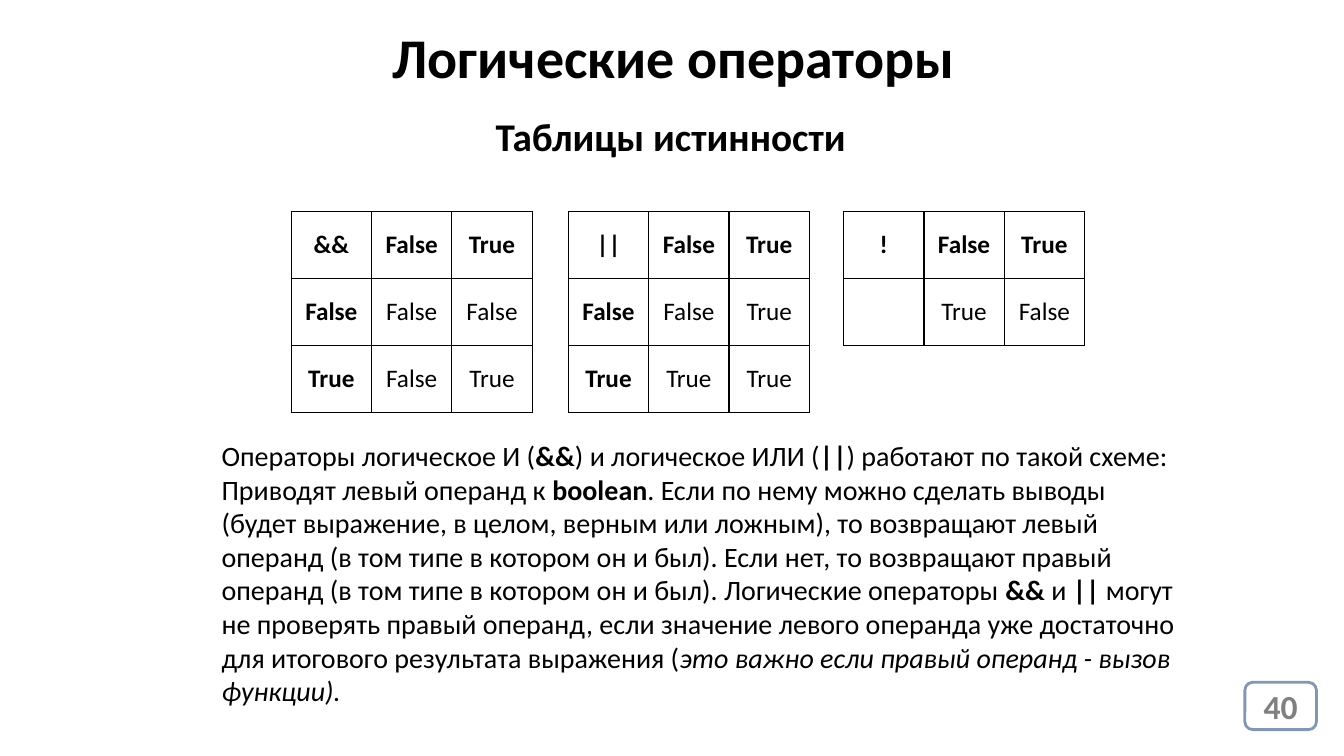
from lxml.etree import SubElement
from pptx import Presentation
from pptx.dml.color import RGBColor
from pptx.enum.shapes import MSO_SHAPE
from pptx.enum.text import MSO_ANCHOR, PP_ALIGN
from pptx.oxml.ns import qn
from pptx.util import Pt

BLACK = RGBColor(0, 0, 0)
WHITE = RGBColor(255, 255, 255)
GREY = RGBColor(128, 128, 128)
STEEL = RGBColor(0x84, 0x97, 0xB0)

COL, ROW = 57.4, 47.8
TABLES = [
    (208, [["&&", "False", "True"], ["False", "False", "False"], ["True", "False", "True"]]),
    (406, [["||", "False", "True"], ["False", "False", "True"], ["True", "True", "True"]]),
    (602.6, [["!", "False", "True"], ["", "True", "False"]]),
]
BODY = [
    ("Операторы логическое И (", ""),
    ("&&", "b"),
    (") и логическое ИЛИ (", ""),
    ("||", "b"),
    (") работают по такой схеме: Приводят левый операнд к ", ""),
    ("boolean", "b"),
    (". Если по нему можно сделать выводы (будет выражение, в целом, верным или ложным), "
     "то возвращают левый операнд (в том типе в котором он и был). Если нет, то возвращают "
     "правый операнд (в том типе в котором он и был). Логические операторы ", ""),
    ("&& ", "b"),
    ("и ", ""),
    ("|| ", "b"),
    ("могут не проверять правый операнд, если значение левого операнда уже достаточно "
     "для итогового результата выражения (", ""),
    ("это важно если правый операнд - вызов функции).", "i"),
]


def write(para, text, size=20, bold=False, italic=False, color=BLACK, align=None):
    """Add one formatted run to a paragraph."""
    if align is not None:
        para.alignment = align
    para.font.size = Pt(size)
    run = para.add_run()
    run.text = text
    font = run.font
    font.name, font.size = "Calibri", Pt(size)
    font.bold, font.italic = bold, italic
    font.color.rgb = color


def add_box(slide, box, wrap=True, anchor=MSO_ANCHOR.TOP):
    """Add a text box and return its first paragraph."""
    frame = slide.shapes.add_textbox(*map(Pt, box)).text_frame
    frame.word_wrap = wrap
    frame.vertical_anchor = anchor
    return frame.paragraphs[0]


def add_heads(slide, box):
    """Place the title and the subtitle below it."""
    left, top, width, height = box
    title = add_box(slide, box, anchor=MSO_ANCHOR.MIDDLE)
    title.line_spacing = 0.9
    write(title, "Логические операторы", size=40, bold=True, align=PP_ALIGN.CENTER)
    sub = add_box(slide, (left + 190, top + 79.2, 267.1, 41), wrap=False)
    write(sub, "Таблицы истинности", size=28, bold=True)


def rule_cell(cell):
    """Draw black borders on the four sides of a cell."""
    props = cell._tc.get_or_add_tcPr()
    for index, side in enumerate(("lnL", "lnR", "lnT", "lnB")):
        line = props.makeelement(qn(f"a:{side}"), {"w": str(Pt(1))})
        fill = SubElement(line, qn("a:solidFill"))
        SubElement(fill, qn("a:srgbClr"), val=str(BLACK))
        props.insert(index, line)


def add_truth(slide, left, top, rows):
    """Place a truth table with bold heads in its first row and column."""
    count = len(rows[0])
    box = (left, top, COL * count, ROW * len(rows))
    table = slide.shapes.add_table(len(rows), count, *map(Pt, box)).table
    table.first_row = table.horz_banding = False
    for col in table.columns:
        col.width = Pt(COL)
    for r, row in enumerate(rows):
        table.rows[r].height = Pt(ROW)
        for c, text in enumerate(row):
            cell = table.cell(r, c)
            cell.fill.background()
            cell.vertical_anchor = MSO_ANCHOR.MIDDLE
            rule_cell(cell)
            if text:
                write(cell.text_frame.paragraphs[0], text, size=18,
                      bold=r == 0 or c == 0, align=PP_ALIGN.CENTER)


def add_body(slide, box):
    """Place the explanation with its mixed styles."""
    para = add_box(slide, box)
    for text, style in BODY:
        write(para, text, bold=style == "b", italic=style == "i")


def add_badge(slide, box):
    """Place the page number in its rounded frame."""
    badge = slide.shapes.add_shape(MSO_SHAPE.ROUNDED_RECTANGLE, *map(Pt, box))
    badge.shadow.inherit = False
    badge.fill.solid()
    badge.fill.fore_color.rgb = WHITE
    badge.line.color.rgb = STEEL
    badge.line.width = Pt(2)
    frame = badge.text_frame
    frame.vertical_anchor = MSO_ANCHOR.MIDDLE
    write(frame.paragraphs[0], "40", size=24, bold=True, color=GREY, align=PP_ALIGN.CENTER)


def main():
    """Build the slide and save it."""
    deck = Presentation()
    deck.slide_width, deck.slide_height = Pt(960), Pt(540)
    slide = deck.slides.add_slide(deck.slide_layouts[6])
    add_badge(slide, (889.2, 487.4, 51.1, 33.8))
    add_heads(slide, (157, -2.2, 648, 90))
    for left, rows in TABLES:
        add_truth(slide, left, 151.2, rows)
    add_body(slide, (151.2, 309.6, 698.4, 200.9))
    deck.save("out.pptx")


if __name__ == "__main__":
    main()
